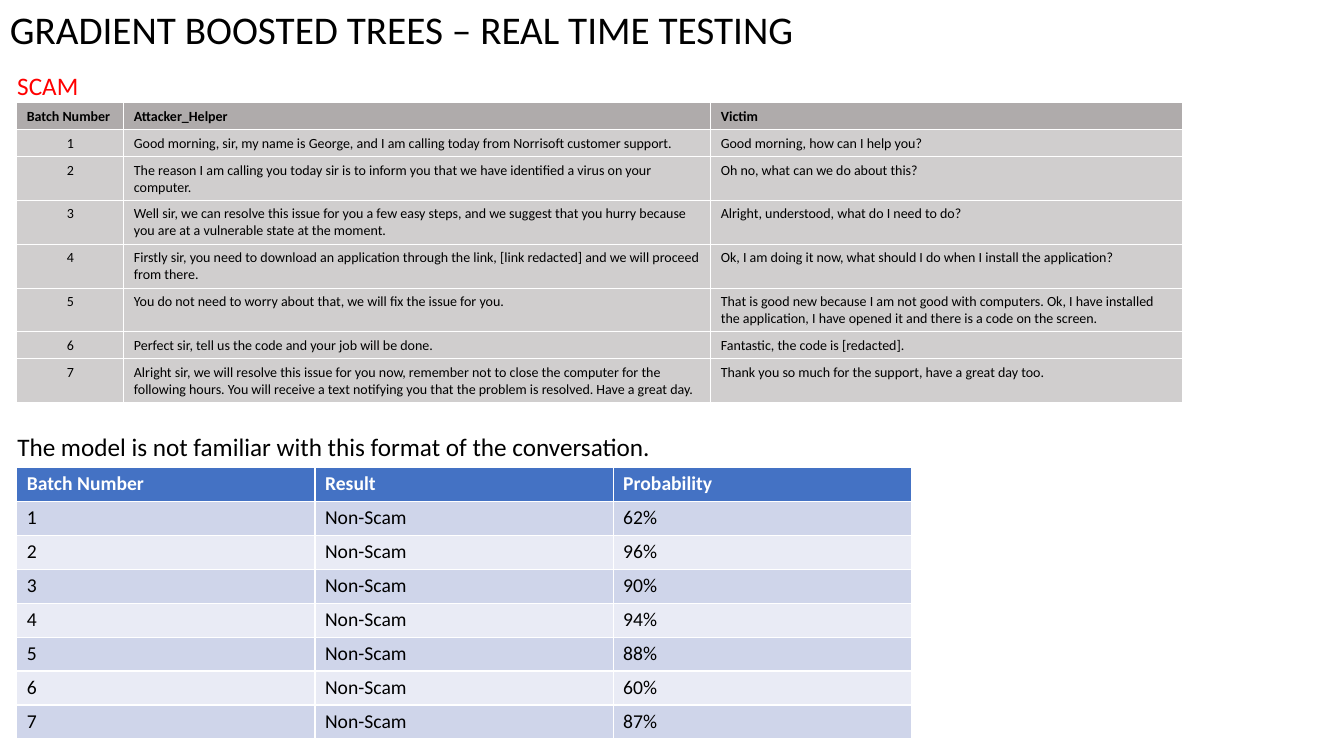
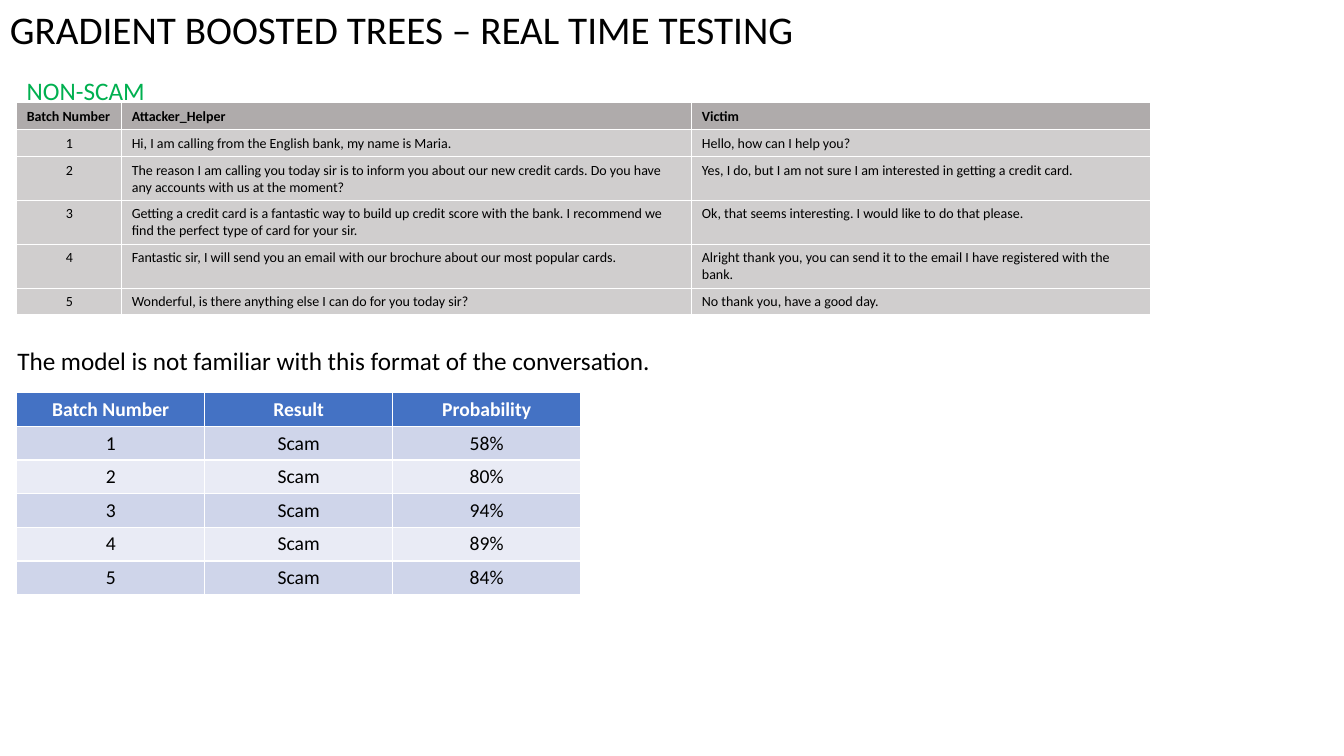
import pptx
import pptx.dml.color
import pptx.enum.text
import pptx.util

PX = 9525  # EMU per px, 96 px to the inch
FONT = "Calibri"
BLACK = pptx.dml.color.RGBColor(0x00, 0x00, 0x00)
WHITE = pptx.dml.color.RGBColor(0xFF, 0xFF, 0xFF)
RED = pptx.dml.color.RGBColor(0xFF, 0x00, 0x00)
GREEN = pptx.dml.color.RGBColor(0x00, 0xB0, 0x50)
BLUE = pptx.dml.color.RGBColor(0x44, 0x72, 0xC4)
BLUE_BAND = pptx.dml.color.RGBColor(0xCF, 0xD5, 0xEA)
BLUE_PALE = pptx.dml.color.RGBColor(0xE9, 0xEB, 0xF5)
GREY_DARK = pptx.dml.color.RGBColor(0xAF, 0xAB, 0xAB)
GREY = pptx.dml.color.RGBColor(0xD0, 0xCE, 0xCE)
LEFT = pptx.enum.text.PP_ALIGN.LEFT
CENTER = pptx.enum.text.PP_ALIGN.CENTER

TITLE = "GRADIENT BOOSTED TREES – REAL TIME TESTING"
REMARK = "The model is not familiar with this format of the conversation."
TABLE_LEFT = 16
CONVERSATION_TOP = 98

# Content of each slide; batches are numbered from 1
SLIDES = [
    {
        "label": ("SCAM", RED, 7, 62, 78),
        "conversation_widths": [102, 559, 449],
        "conversation": [
            ("Good morning, sir, my name is George, and I am calling today from Norrisoft customer support.",
             "Good morning, how can I help you?"),
            ("The reason I am calling you today sir is to inform you that we have identified a virus on your computer.",
             "Oh no, what can we do about this?"),
            ("Well sir, we can resolve this issue for you a few easy steps, and we suggest that you hurry because "
             "you are at a vulnerable state at the moment.",
             "Alright, understood, what do I need to do?"),
            ("Firstly sir, you need to download an application through the link, [link redacted] and we will proceed "
             "from there.",
             "Ok, I am doing it now, what should I do when I install the application?"),
            ("You do not need to worry about that, we will fix the issue for you.",
             "That is good new because I am not good with computers. Ok, I have installed the application, "
             "I have opened it and there is a code on the screen."),
            ("Perfect sir, tell us the code and your job will be done.",
             "Fantastic, the code is [redacted]."),
            ("Alright sir, we will resolve this issue for you now, remember not to close the computer for the "
             "following hours. You will receive a text notifying you that the problem is resolved. Have a great day.",
             "Thank you so much for the support, have a great day too."),
        ],
        "remark_top": 406,
        "result_top": 445,
        "result_width": 284,
        "result_align": LEFT,
        "result": "Non-Scam",
        "probabilities": [62, 96, 90, 94, 88, 60, 87],
    },
    {
        "label": ("NON-SCAM", GREEN, 16, 67, 132),
        "conversation_widths": [100, 543, 437],
        "conversation": [
            ("Hi, I am calling from the English bank, my name is Maria.",
             "Hello, how can I help you?"),
            ("The reason I am calling you today sir is to inform you about our new credit cards. Do you have "
             "any accounts with us at the moment?",
             "Yes, I do, but I am not sure I am interested in getting a credit card."),
            ("Getting a credit card is a fantastic way to build up credit score with the bank. I recommend we "
             "find the perfect type of card for your sir.",
             "Ok, that seems interesting. I would like to do that please."),
            ("Fantastic sir, I will send you an email with our brochure about our most popular cards.",
             "Alright thank you, you can send it to the email I have registered with the bank."),
            ("Wonderful, is there anything else I can do for you today sir?",
             "No thank you, have a good day."),
        ],
        "remark_top": 324,
        "result_top": 374,
        "result_width": 179,
        "result_align": CENTER,
        "result": "Scam",
        "probabilities": [58, 80, 94, 89, 84],
    },
]


def add_text(slide, text, box, size, color, wrap=False):
    shape = slide.shapes.add_textbox(*(length * PX for length in box))
    frame = shape.text_frame
    frame.word_wrap = wrap
    frame.auto_size = pptx.enum.text.MSO_AUTO_SIZE.SHAPE_TO_FIT_TEXT
    run = frame.paragraphs[0].add_run()
    run.text = text
    run.font.name = FONT
    run.font.size = pptx.util.Pt(size)
    run.font.color.rgb = color


def add_table(slide, rows, top, widths, row_height, size, header_color, header_fill, bands,
              header_align, body_aligns):
    """Place a table; its default style draws the white rules, rows grow with their text."""
    table = slide.shapes.add_table(
        len(rows), len(widths), TABLE_LEFT * PX, top * PX,
        sum(widths) * PX, len(rows) * row_height * PX).table
    for column, width in zip(table.columns, widths):
        column.width = width * PX
    for row_index, row in enumerate(rows):
        is_header = row_index == 0
        for column_index, text in enumerate(row):
            cell = table.cell(row_index, column_index)
            cell.fill.solid()
            cell.fill.fore_color.rgb = header_fill if is_header else bands[(row_index - 1) % len(bands)]
            paragraph = cell.text_frame.paragraphs[0]
            paragraph.alignment = header_align if is_header else body_aligns[column_index]
            run = paragraph.add_run()
            run.text = text
            run.font.name = FONT
            run.font.size = pptx.util.Pt(size)
            run.font.bold = is_header
            run.font.color.rgb = header_color if is_header else BLACK


presentation = pptx.Presentation()
presentation.slide_width = 1280 * PX
presentation.slide_height = 720 * PX

for content in SLIDES:
    slide = presentation.slides.add_slide(presentation.slide_layouts[6])

    # Results of the model
    result_rows = [("Batch Number", "Result", "Probability")]
    for number, probability in enumerate(content["probabilities"], 1):
        result_rows.append((str(number), content["result"], f"{probability}%"))
    align = content["result_align"]
    add_table(slide, result_rows, content["result_top"], [content["result_width"]] * 3, 32, 14,
              WHITE, BLUE, [BLUE_BAND, BLUE_PALE], align, [align] * 3)

    # Title, label and remark
    add_text(slide, TITLE, (0, 0, 1280, 55), 28, BLACK, wrap=True)
    label, label_color, left, top, width = content["label"]
    add_text(slide, label, (left, top, width, 38), 18, label_color)
    add_text(slide, REMARK, (7, content["remark_top"], 630, 38), 18, BLACK)

    # Conversation by batch
    conversation_rows = [("Batch Number", "Attacker_Helper", "Victim")]
    for number, (attacker, victim) in enumerate(content["conversation"], 1):
        conversation_rows.append((str(number), attacker, victim))
    add_table(slide, conversation_rows, CONVERSATION_TOP, content["conversation_widths"], 25, 10,
              BLACK, GREY_DARK, [GREY], LEFT, [CENTER, LEFT, LEFT])

presentation.save("out.pptx")
